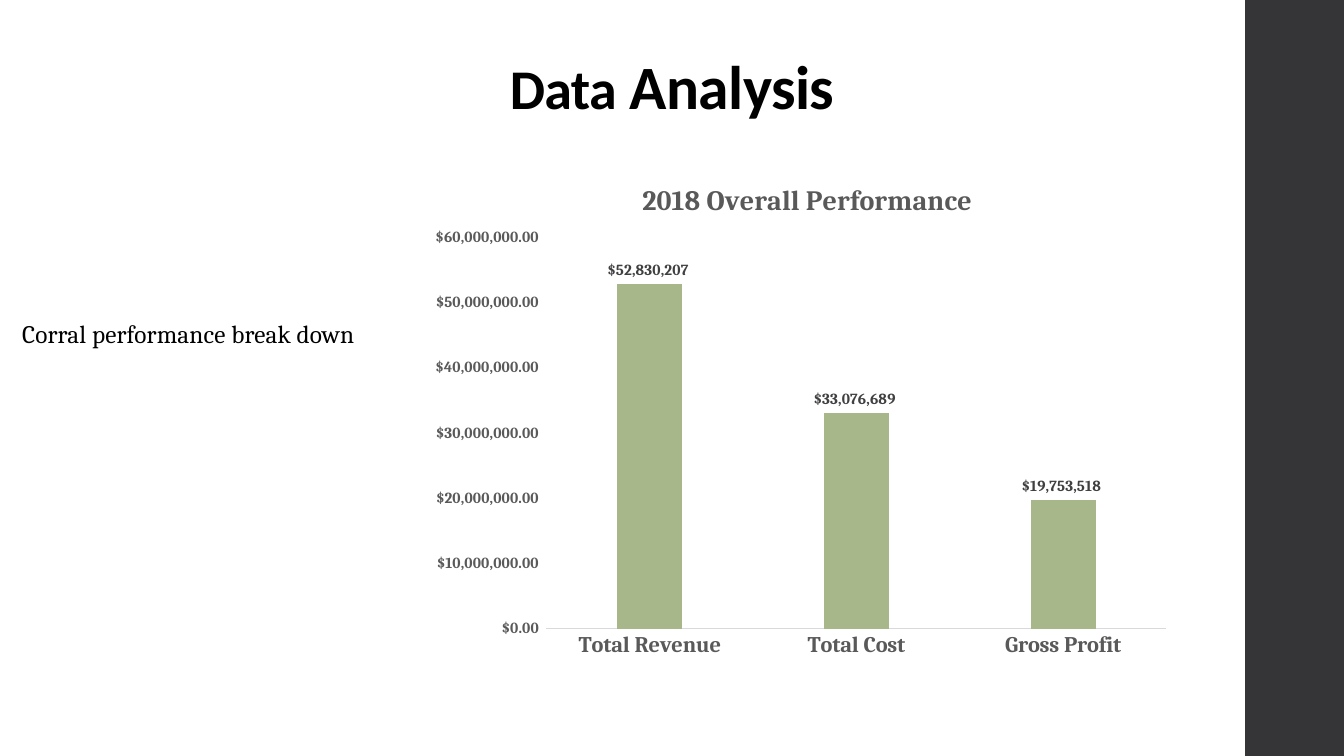
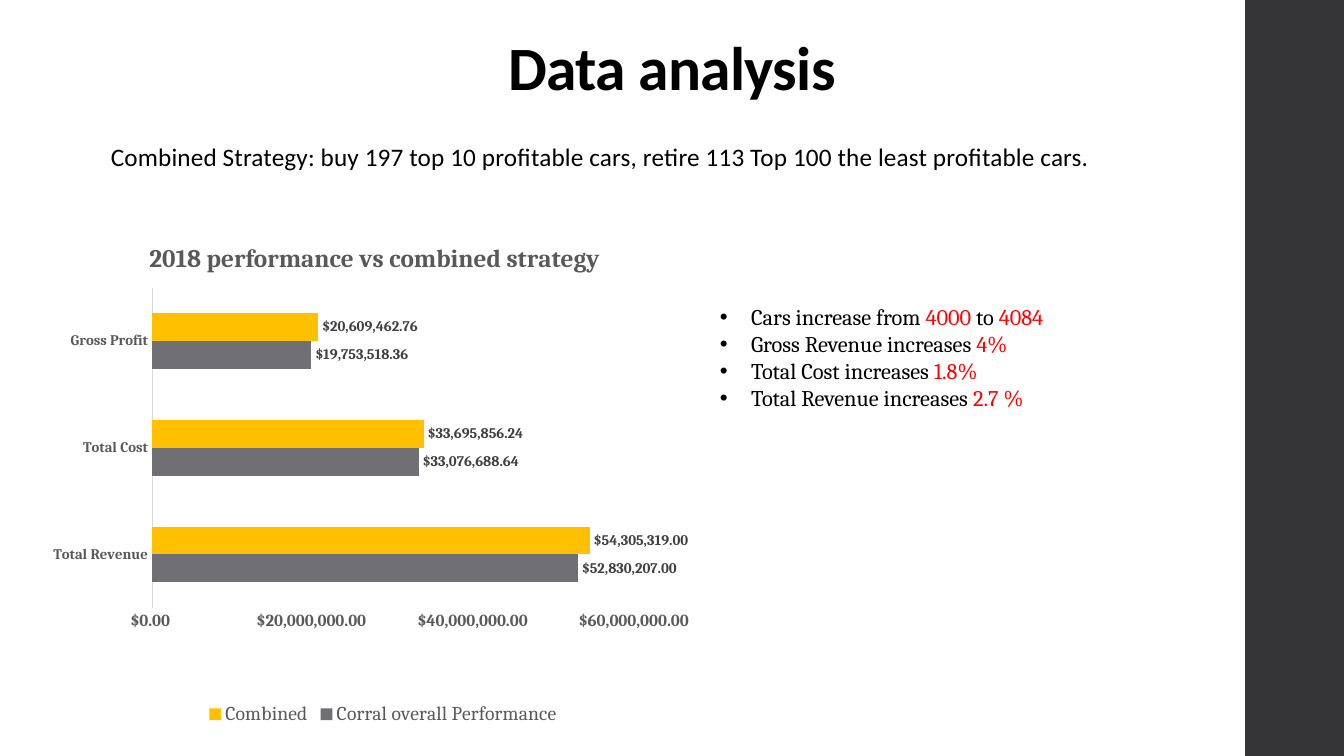
from lxml.etree import SubElement as Sub
from pptx import Presentation
from pptx.chart.data import CategoryChartData as Data
from pptx.dml.color import RGBColor as RGB
from pptx.enum.chart import XL_CHART_TYPE as Kind
from pptx.enum.chart import XL_LABEL_POSITION as Spot
from pptx.enum.chart import XL_LEGEND_POSITION as Side
from pptx.enum.chart import XL_TICK_MARK as Tick
from pptx.enum.shapes import MSO_SHAPE as Shape
from pptx.enum.text import MSO_ANCHOR as Anchor
from pptx.enum.text import MSO_AUTO_SIZE as Fit
from pptx.enum.text import PP_ALIGN as Align
from pptx.oxml import parse_xml
from pptx.oxml.ns import nsdecls, qn
from pptx.util import Inches, Pt

HUE = {
    "black": "000000", "band": "353537", "red": "FF0000", "gray": "595959",
    "label": "404040", "rule": "D9D9D9", "sage": "A7B789", "slate": "6F6F74",
    "gold": "FFC000",
}
SANS, SERIF = "Calibri", "Cambria"
CENTS = r"\$#,##0.00_);[Red]\(\$#,##0.00\)"
WHOLE = r"\$#,##0_);[Red]\(\$#,##0\)"
CATS = ["Total Revenue", "Total Cost", "Gross Profit"]


def tint(name):
    """Return a named colour."""
    return RGB.from_string(HUE[name])


def style(font, size, face=SERIF, hue="black", bold=False):
    """Set the look of a font."""
    font.size, font.name, font.bold = Pt(size), face, bold
    font.color.rgb = tint(hue)


def move(shape, box):
    """Place a shape in a box given in inches."""
    shape.left, shape.top, shape.width, shape.height = map(Inches, box)


def write(shape, box, lines, anchor=Anchor.TOP, align=Align.LEFT, lead=1,
          before=0, after=0, track=0, bullet=False, **look):
    """Fill a placeholder with lines of (text, changes) runs."""
    move(shape, box)
    frame = shape.text_frame
    frame.word_wrap, frame.auto_size = True, Fit.NONE
    frame.vertical_anchor = anchor
    for at, line in enumerate(lines):
        para = frame.add_paragraph() if at else frame.paragraphs[0]
        para.alignment, para.line_spacing = align, lead
        para.space_before, para.space_after = Pt(before), Pt(after)
        props = para._p.get_or_add_pPr()
        dent = Inches(0.31) if bullet else 0
        props.set("marL", str(dent))
        props.set("indent", str(-dent))
        if bullet:
            Sub(props, qn("a:buFont")).set("typeface", "Arial")
            Sub(props, qn("a:buChar")).set("char", "•")
        else:
            Sub(props, qn("a:buNone"))
        for text, diff in line:
            run = para.add_run()
            run.text = text
            style(run.font, **{**look, **diff})
            if track:
                run._r.get_or_add_rPr().set("spc", str(track))


def title(slide, box, runs):
    """Write the slide title."""
    write(slide.shapes.title, box, [runs], anchor=Anchor.BOTTOM,
          align=Align.CENTER, lead=0.9, track=-50, size=44, face=SANS, bold=True)


def lede(slide, box, text, face):
    """Write the introductory line."""
    write(slide.placeholders[1], box, [[(text, {})]], lead=0.95, before=14,
          after=2, track=10, size=18, face=face)


def points(slide, box, pieces):
    """Write bullets in which every second piece is red."""
    lines = [[(text, {"hue": "red"} if at % 2 else {})
              for at, text in enumerate(line)] for line in pieces]
    write(slide.placeholders[2], box, lines, bullet=True, size=16)


def band(slide):
    """Put the side band on the layout of the slide."""
    bar = slide.shapes.add_shape(Shape.RECTANGLE, 0, 0, 0, 0)
    move(bar, (12.35, 0, 1, 7.5))
    bar.shadow.inherit = False
    bar.fill.solid()
    bar.fill.fore_color.rgb = tint("band")
    bar.line.fill.background()
    slide.slide_layout.shapes.element.insert(2, bar.element)


def lay(node, at, **spots):
    """Give a part of a chart a manual layout."""
    for old in node.findall(qn("c:layout")):
        node.remove(old)
    tree = parse_xml(f"<c:layout {nsdecls('c')}><c:manualLayout/></c:layout>")
    if "w" in spots:
        Sub(tree[0], qn("c:layoutTarget")).set("val", "inner")
    for key in "xy":
        Sub(tree[0], qn(f"c:{key}Mode")).set("val", "edge")
    for key, val in spots.items():
        Sub(tree[0], qn(f"c:{key}")).set("val", str(val))
    node.insert(at, tree)


def graph(slide, box, kind, head, sets, plot, spot, sizes, gap, step,
          lap=0, code=CENTS, legend=False):
    """Draw a money chart; sizes are for head, categories, values and labels."""
    data = Data()
    data.categories = CATS
    for name, vals, _ in sets:
        data.add_series(name, vals)
    chart = slide.shapes.add_chart(kind, *map(Inches, box), data).chart
    style(chart.font, 10)
    chart.has_title = True
    text = chart.chart_title.text_frame
    text.text = head
    style(text.paragraphs[0].runs[0].font, sizes[0], hue="gray", bold=True)
    lay(chart.chart_title.element, 1, x=spot[0], y=spot[1])
    lay(chart.element.find(".//" + qn("c:plotArea")), 0, **dict(zip("xywh", plot)))

    cat, val = chart.category_axis, chart.value_axis
    for axis, size in zip((cat, val), sizes[1:3]):
        axis.major_tick_mark = axis.minor_tick_mark = Tick.NONE
        axis.has_major_gridlines = False
        style(axis.tick_labels.font, size, hue="gray", bold=True)
    cat.format.line.color.rgb, cat.format.line.width = tint("rule"), Pt(0.75)
    val.format.line.fill.background()
    val.minimum_scale, val.maximum_scale, val.major_unit = 0, 60_000_000, step
    val.tick_labels.number_format = CENTS
    val.tick_labels.number_format_is_linked = False

    bars = chart.plots[0]
    bars.gap_width, bars.overlap, bars.vary_by_categories = gap, lap, False
    for part, (_, _, hue) in zip(bars.series, sets):
        part.format.fill.solid()
        part.format.fill.fore_color.rgb = tint(hue)
    bars.has_data_labels = True
    tags = bars.data_labels
    tags.show_value, tags.position = True, Spot.OUTSIDE_END
    tags.number_format, tags.number_format_is_linked = code, False
    style(tags.font, sizes[3], hue="label", bold=True)

    chart.has_legend = legend
    if legend:
        chart.legend.position = Side.BOTTOM
        chart.legend.include_in_layout = False
        style(chart.legend.font, 14, hue="gray")


def year(slide):
    """Build the slide on the results of the year."""
    title(slide, (1, 0.41, 11.33, 0.86), [("Data", {"size": 40}), (" Analysis", {})])
    lede(slide, (0.12, 3.13, 4.09, 0.69), "Corral performance break down", SERIF)
    spare = slide.placeholders[2].element
    spare.getparent().remove(spare)
    graph(slide, (4.22, 1.26, 7.5, 5.47), Kind.COLUMN_CLUSTERED,
          "2018 Overall Performance",
          [("Series 1", (52830207, 33076689, 19753518), "sage")],
          plot=(0.16, 0.2, 0.82, 0.71), spot=(0.28, 0.09),
          sizes=(20, 16, 11, 11), gap=219, step=10_000_000, lap=-27, code=WHOLE)


def plan(slide):
    """Build the slide on the combined strategy."""
    title(slide, (1, 0.13, 11.33, 0.95), [("Data analysis", {})])
    lede(slide, (1, 1.37, 11.33, 0.46),
         "Combined Strategy: buy 197 top 10 profitable cars, "
         "retire 113 Top 100 the least profitable cars.", SANS)
    points(slide, (7.04, 2.96, 5.15, 1.21), [
        ("Cars increase from ", "4000", " to ", "4084"),
        ("Gross Revenue increases ", "4%"),
        ("Total Cost increases ", "1.8%"),
        ("Total Revenue increases ", "2.7 %"),
    ])
    graph(slide, (0.22, 2.2, 7.16, 5.04), Kind.BAR_CLUSTERED,
          "2018 performance vs combined strategy",
          [("Corral overall Performance",
            (52830207, 33076688.64, 19753518.36), "slate"),
           ("Combined", (54305319, 33695856.24, 20609462.76), "gold")],
          plot=(0.18, 0.13, 0.67, 0.63), spot=(0.17, 0.03),
          sizes=(18, 10.5, 12, 10.5), gap=182, step=20_000_000, legend=True)


def main():
    """Build and save the deck."""
    deck = Presentation()
    deck.slide_width, deck.slide_height = Inches(13.33), Inches(7.5)
    base = deck.slide_layouts[3]
    first, second = (deck.slides.add_slide(base) for _ in range(2))
    band(first)
    year(first)
    plan(second)
    deck.save("out.pptx")


if __name__ == "__main__":
    main()
